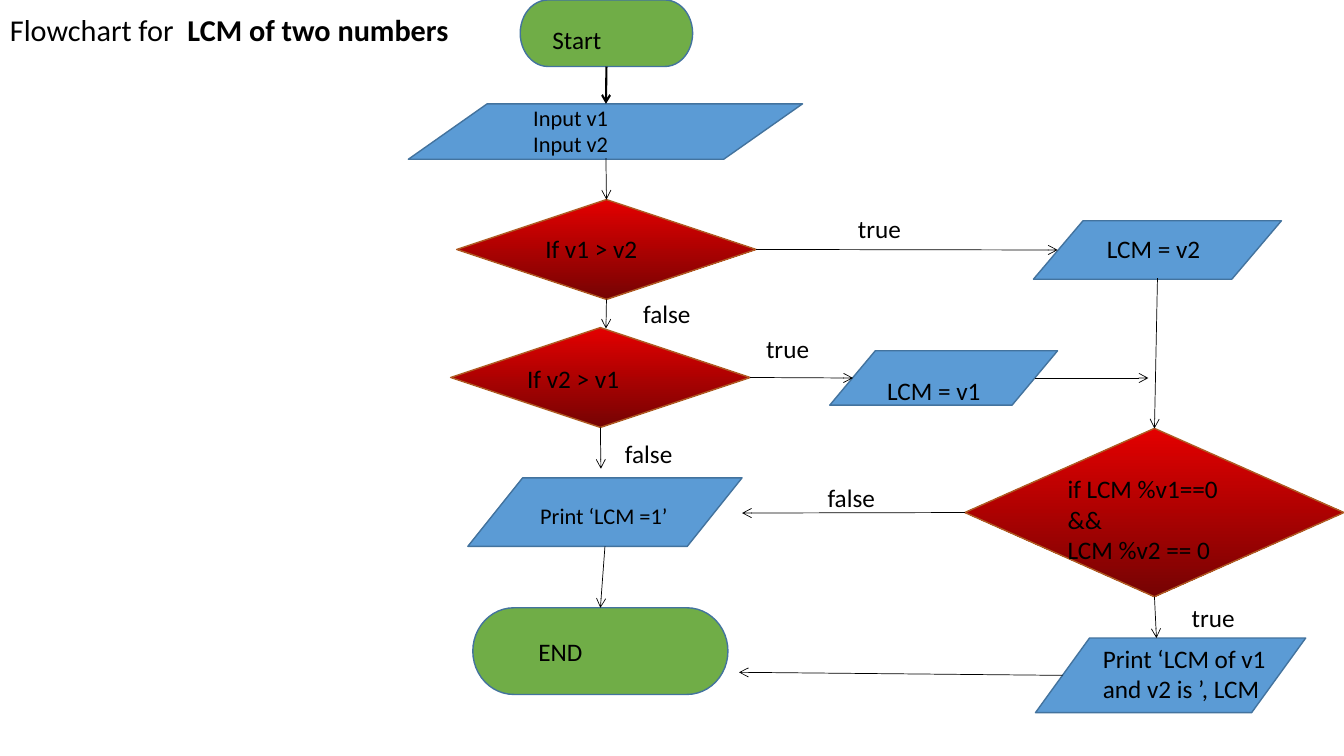
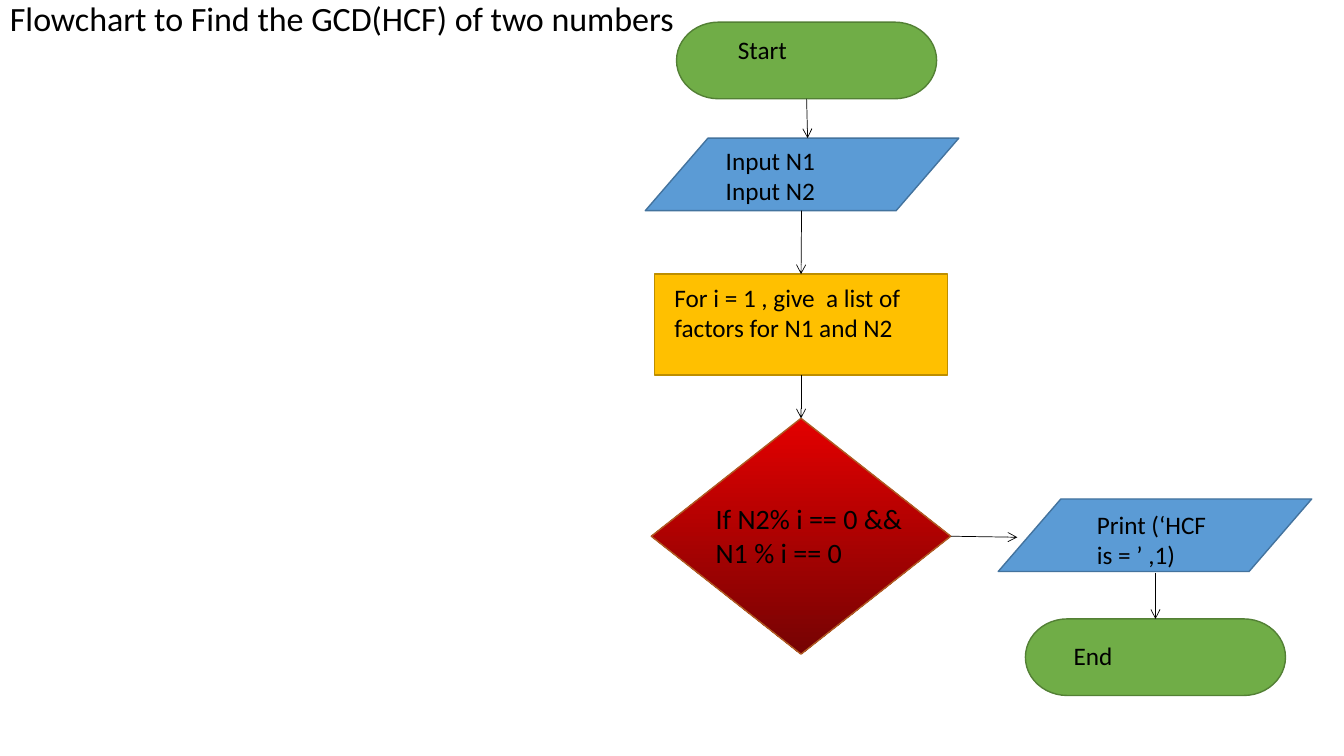
from dataclasses import dataclass
from typing import Any, NamedTuple

from lxml import etree
from pptx import Presentation
from pptx import util as u
from pptx.dml.color import RGBColor
from pptx.enum import shapes, text
from pptx.oxml.ns import qn

PX = 9144
FONT = "Calibri"
BLACK = "000000"
TOP, LEFT, BOTTOM, RIGHT = range(4)
KIND = shapes.MSO_SHAPE


class Look(NamedTuple):
    outline: str
    fill: tuple[str, ...]
    edge: str


class Joint(NamedTuple):
    step: str
    side: int


class Point(NamedTuple):
    x: int
    y: int


class Frame(NamedTuple):
    left: int
    top: int
    width: int
    height: int


class Run(NamedTuple):
    words: str
    bold: bool = False


@dataclass(frozen=True)
class Step:
    name: str
    look: str
    frame: Frame


@dataclass(frozen=True)
class Arrow:
    start: Joint | Point
    end: Joint | Point
    weight: float = 0.5


@dataclass(frozen=True)
class Label:
    frame: Frame
    lines: tuple[str, ...]
    size: float = 18


@dataclass(frozen=True)
class Title:
    frame: Frame
    runs: tuple[Run, ...]
    size: float


@dataclass(frozen=True)
class Flowchart:
    title: Title
    steps: tuple[Step, ...]
    arrows: tuple[Arrow, ...]
    labels: tuple[Label, ...]


LOOKS = {
    "terminal": Look("FLOWCHART_TERMINATOR", ("70AD47",), "43739E"),
    "green terminal": Look("FLOWCHART_TERMINATOR", ("70AD47",), "538035"),
    "data": Look("FLOWCHART_DATA", ("5B9BD5",), "43739E"),
    "process": Look("FLOWCHART_PROCESS", ("FFC000",), "BD8E00"),
    "decision": Look("FLOWCHART_DECISION", ("E30000", "760303"), "AF5C24"),
}

LCM = Flowchart(
    Title(
        Frame(0, 13, 546, 68),
        (Run("Flowchart for "), Run(" LCM of two numbers", True)),
        21.6,
    ),
    (
        Step("start", "terminal", Frame(516, 0, 171, 66)),
        Step("input", "data", Frame(405, 103, 391, 55)),
        Step("v1 larger", "decision", Frame(453, 198, 297, 99)),
        Step("take v2", "data", Frame(1025, 219, 246, 58)),
        Step("divisible", "decision", Frame(957, 425, 376, 167)),
        Step("v2 larger", "decision", Frame(447, 325, 297, 99)),
        Step("take v1", "data", Frame(823, 348, 226, 54)),
        Step("print result", "data", Frame(1027, 633, 268, 74)),
        Step("end", "terminal", Frame(469, 603, 253, 86)),
        Step("print one", "data", Frame(464, 474, 272, 68)),
    ),
    (
        Arrow(Joint("start", BOTTOM), Point(601, 103), 1.5),
        Arrow(Point(601, 157), Joint("v1 larger", TOP)),
        Arrow(Joint("v1 larger", RIGHT), Point(1049, 248)),
        Arrow(Point(1148, 276), Joint("divisible", TOP)),
        Arrow(Joint("v1 larger", BOTTOM), Point(601, 326)),
        Arrow(Joint("v2 larger", RIGHT), Point(846, 375)),
        Arrow(Point(1027, 375), Point(1139, 375)),
        Arrow(Joint("divisible", BOTTOM), Point(1147, 633)),
        Arrow(Point(1054, 670), Point(733, 667)),
        Arrow(Joint("v2 larger", BOTTOM), Point(596, 465)),
        Arrow(Joint("divisible", LEFT), Point(736, 509)),
        Arrow(Point(600, 542), Joint("end", TOP)),
    ),
    (
        Label(Frame(538, 19, 120, 40), ("Start",)),
        Label(Frame(519, 98, 231, 64), ("Input v1", "Input v2"), 16),
        Label(Frame(531, 227, 191, 40), ("If v1 > v2",)),
        Label(Frame(841, 207, 191, 40), ("true",)),
        Label(Frame(1088, 227, 120, 40), ("LCM = v2",)),
        Label(Frame(513, 356, 142, 40), ("If v2 > v1",)),
        Label(Frame(628, 291, 78, 40), ("false",)),
        Label(Frame(750, 326, 84, 40), ("true",)),
        Label(Frame(526, 493, 153, 37), ("Print ‘LCM =1’",), 16),
        Label(Frame(811, 474, 153, 40), ("false",)),
        Label(Frame(610, 430, 95, 40), ("false",)),
        Label(Frame(870, 367, 132, 40), ("LCM = v1",)),
        Label(Frame(1049, 465, 198, 101), ("if LCM %v1==0 &&", "LCM %v2 == 0")),
        Label(Frame(1172, 593, 161, 40), ("true",)),
        Label(Frame(1084, 633, 187, 71), ("Print ‘LCM of v1 and v2 is ’, LCM",)),
        Label(Frame(524, 626, 205, 40), ("END",)),
    ),
)

GCD = Flowchart(
    Title(
        Frame(0, 0, 749, 97),
        (Run("Flowchart to Find the GCD(HCF) of two numbers"),),
        24.3,
    ),
    (
        Step("start", "green terminal", Frame(671, 22, 258, 76)),
        Step("input", "data", Frame(640, 137, 311, 72)),
        Step("factors", "process", Frame(649, 272, 291, 100)),
        Step("common", "decision", Frame(646, 415, 297, 234)),
        Step("print", "data", Frame(990, 495, 311, 72)),
        Step("end", "green terminal", Frame(1017, 614, 258, 76)),
    ),
    (
        Arrow(Joint("start", BOTTOM), Point(801, 137)),
        Arrow(Point(795, 209), Joint("factors", TOP)),
        Arrow(Joint("factors", BOTTOM), Joint("common", TOP)),
        Arrow(Joint("common", RIGHT), Point(1009, 533)),
        Arrow(Point(1146, 568), Joint("end", TOP)),
    ),
    (
        Label(Frame(722, 29, 229, 40), ("Start",)),
        Label(Frame(710, 139, 186, 71), ("Input N1", "Input N2")),
        Label(
            Frame(659, 275, 276, 71),
            ("For i = 1 , give  a list of factors for N1 and N2",),
        ),
        Label(Frame(700, 493, 206, 77), ("If N2% i == 0 && N1 % i == 0",), 20),
        Label(Frame(1078, 500, 135, 71), ("Print (‘HCF is = ’ ,1)",)),
        Label(Frame(1055, 630, 179, 40), ("End",)),
    ),
)


def color(value: str) -> RGBColor:
    return RGBColor.from_string(value)


def emu(lengths: tuple[int, ...]) -> list[int]:
    return [length * PX for length in lengths]


def apply(target: Any, values: dict[str, Any]) -> None:
    for name, value in values.items():
        setattr(target, name, value)


def write_run(para: Any, run: Run, size: float) -> None:
    span = para.add_run()
    span.text = run.words
    apply(span.font, {"name": FONT, "size": u.Pt(size), "bold": run.bold})
    span.font.color.rgb = color(BLACK)


def draw_title(page: Any, title: Title) -> None:
    box = page.shapes.add_textbox(*emu(title.frame)).text_frame
    apply(box, {
        "word_wrap": True,
        "vertical_anchor": text.MSO_ANCHOR.TOP,
        "margin_top": 2 * PX,
    })
    para = box.paragraphs[0]
    para.line_spacing = 0.9
    for run in title.runs:
        write_run(para, run, title.size)


def draw_label(page: Any, label: Label) -> None:
    box = page.shapes.add_textbox(*emu(label.frame)).text_frame
    apply(box, {"word_wrap": True, "auto_size": text.MSO_AUTO_SIZE.SHAPE_TO_FIT_TEXT})
    for index, line in enumerate(label.lines):
        para = box.add_paragraph() if index else box.paragraphs[0]
        write_run(para, Run(line), label.size)


def draw_step(page: Any, step: Step) -> Any:
    look = LOOKS[step.look]
    shape = page.shapes.add_shape(KIND[look.outline], *emu(step.frame))
    shape.shadow.inherit = False
    if len(look.fill) > 1:
        shape.fill.gradient()
        shape.fill.gradient_angle = 270
        for stop, value in zip(shape.fill.gradient_stops, look.fill):
            stop.color.rgb = color(value)
    else:
        shape.fill.solid()
        shape.fill.fore_color.rgb = color(look.fill[0])
    shape.line.color.rgb = color(look.edge)
    shape.line.width = u.Pt(1)
    return shape


def draw_arrow(page: Any, arrow: Arrow, drawn: dict[str, Any]) -> None:
    ends = (arrow.start, arrow.end)
    points = [Point(0, 0) if isinstance(end, Joint) else end for end in ends]
    connector = page.shapes.add_connector(
        shapes.MSO_CONNECTOR.STRAIGHT, *emu(points[0]), *emu(points[1])
    )
    for end, connect in zip(ends, (connector.begin_connect, connector.end_connect)):
        if isinstance(end, Joint):
            connect(drawn[end.step], end.side)
    connector.line.color.rgb = color(BLACK)
    connector.line.width = u.Pt(arrow.weight)
    properties = connector.element.spPr
    etree.SubElement(properties.find(qn("a:ln")), qn("a:tailEnd"), type="arrow")
    etree.SubElement(properties, qn("a:effectLst"))


def draw_flowchart(deck: Any, chart: Flowchart) -> None:
    page = deck.slides.add_slide(deck.slide_layouts[6])
    draw_title(page, chart.title)
    drawn = {step.name: draw_step(page, step) for step in chart.steps}
    for arrow in chart.arrows:
        draw_arrow(page, arrow, drawn)
    for label in chart.labels:
        draw_label(page, label)


def main() -> None:
    deck = Presentation()
    apply(deck, {"slide_width": 1333 * PX, "slide_height": 750 * PX})
    for chart in (LCM, GCD):
        draw_flowchart(deck, chart)
    deck.save("out.pptx")


if __name__ == "__main__":
    main()
